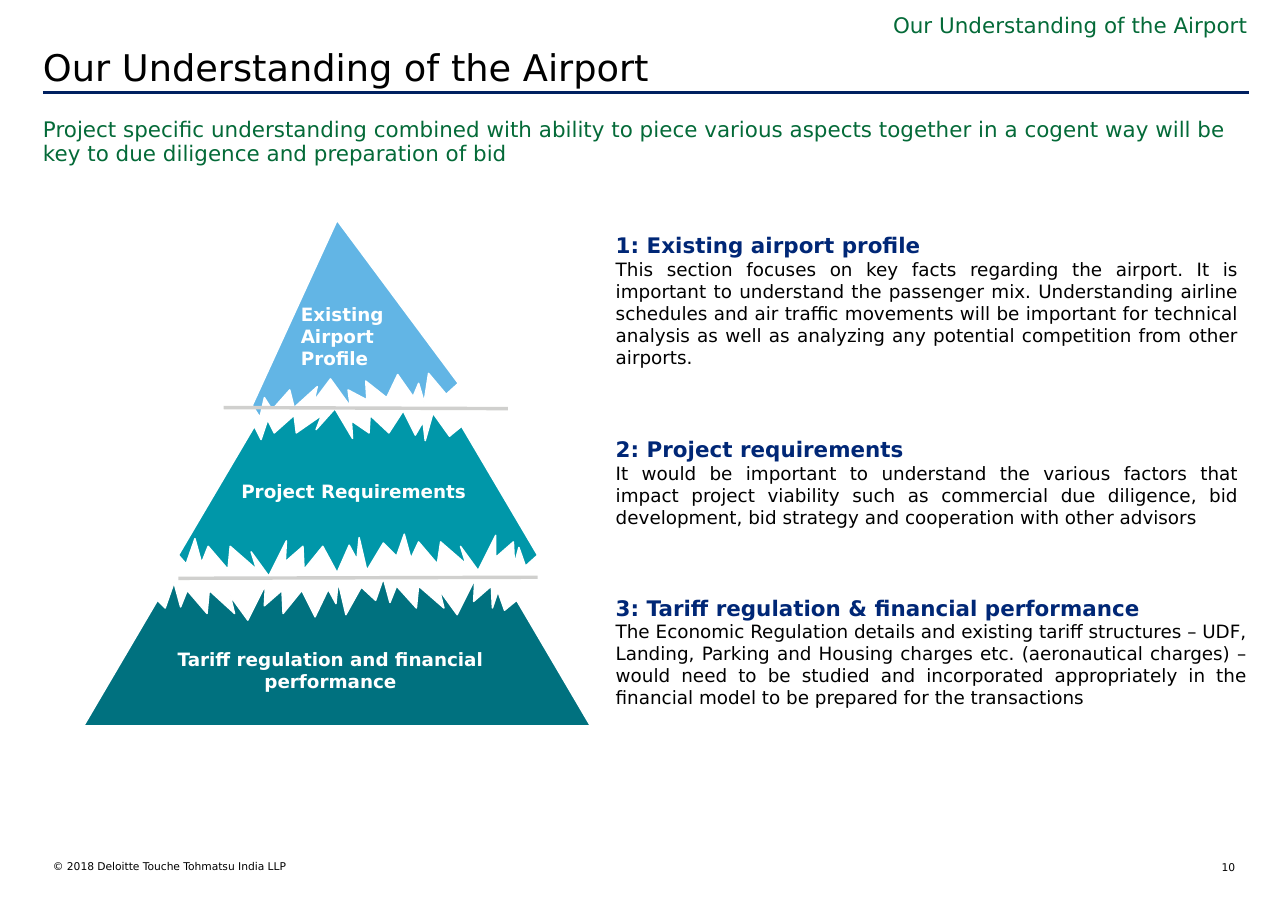
from pptx import Presentation
from pptx.dml.color import RGBColor
from pptx.enum.shapes import MSO_CONNECTOR as Connector
from pptx.enum.text import MSO_ANCHOR as Anchor, MSO_AUTO_SIZE as AutoSize, PP_ALIGN as Align
from pptx.oxml.ns import qn
from pptx.util import Pt
from lxml.etree import SubElement

COLORS = {
    "black": "000000", "white": "FFFFFF", "green": "046A38", "heading": "002776", "rule": "002060",
    "separator": "D0D0CE", "peak": "62B5E5", "middle": "0097A9", "base": "00717F",
}
OUTLINE_UNIT = Pt(0.72)

PEAK = [
    (306, 200), (229, 368), (236, 379), (240, 361), (247, 372), (263, 354), (267, 370), (288, 351),
    (285, 364), (300, 344), (318, 369), (316, 354), (333, 363), (332, 346), (351, 361), (361, 340),
    (375, 360), (380, 348), (385, 365), (389, 339), (405, 358), (416, 348),
]
MIDDLE = [
    (304, 371), (287, 390), (292, 377), (269, 393), (267, 377), (249, 393), (243, 381), (237, 399),
    (231, 387), (162, 504), (169, 512), (177, 489), (183, 511), (189, 496), (207, 517), (209, 496),
    (233, 517), (228, 501), (244, 523), (260, 491), (259, 510), (275, 496), (276, 517), (293, 496),
    (306, 520), (317, 495), (324, 508), (326, 488), (333, 518), (348, 493), (360, 505), (367, 485),
    (373, 507), (380, 492), (397, 512), (400, 492), (423, 512), (418, 496), (434, 518), (450, 486),
    (450, 506), (466, 492), (467, 512), (471, 497), (477, 514), (488, 504), (419, 387), (408, 396),
    (393, 375), (386, 400), (384, 383), (377, 395), (366, 373), (353, 393), (336, 377), (335, 393),
    (319, 382), (320, 398),
]
BASE = [
    (348, 525), (341, 545), (328, 533), (314, 558), (307, 528), (305, 548), (298, 535), (286, 560),
    (274, 536), (257, 557), (256, 536), (240, 550), (241, 531), (225, 563), (209, 541), (213, 557),
    (190, 536), (188, 557), (170, 536), (164, 551), (158, 529), (150, 552), (143, 545), (76, 659),
    (536, 659), (469, 545), (458, 554), (452, 537), (447, 552), (446, 532), (430, 546), (431, 526),
    (415, 558), (399, 536), (403, 552), (380, 532), (378, 552), (360, 532), (354, 547),
]
LAYERS = [
    (BASE, "base", "Tariff regulation and financial performance", (100.8, 423.4, 230.4, 28.8), Align.CENTER, True),
    (PEAK, "peak", "Existing Airport Profile", (196.6, 198, 61.9, 43.9), Align.LEFT, True),
    (MIDDLE, "middle", "Project Requirements", (157.7, 313.9, 152.6, 14.4), Align.LEFT, False),
]
SEPARATORS = [((146.2, 266.4), (331.9, 267.1)), ((116.6, 378), (351.4, 377.3))]
SECTIONS = [
    ("1: Existing airport profile",
     "This section focuses on key facts regarding the airport. It is important to understand the passenger mix. "
     "Understanding airline schedules and air traffic movements will be important for technical analysis as well "
     "as analyzing any potential competition from other airports.",
     (395.3, 148.3, 421.2, 97.2)),
    ("2: Project requirements",
     "It would be important to understand the various factors that impact project viability such as commercial "
     "due diligence, bid development, bid strategy and cooperation with other advisors",
     (395.3, 281.5, 421.2, 67.7)),
    ("3: Tariff regulation & financial performance",
     "The Economic Regulation details and existing tariff structures – UDF, Landing, Parking and Housing charges "
     "etc. (aeronautical charges) – would need to be studied and incorporated appropriately in the financial "
     "model to be prepared for the transactions",
     (395.3, 385.2, 427, 82.1)),
]


class SlideBuilder:
    font_name = "DejaVu Sans"

    def __init__(self, slide):
        self.slide = slide

    def color(self, name):
        return RGBColor.from_string(COLORS[name])

    def fill_text(self, shape, lines, align=Align.LEFT, anchor=Anchor.TOP, inset=(7.2, 3.6), wrap=True, spacing=1.0):
        frame = shape.text_frame
        frame.auto_size = AutoSize.NONE
        frame.word_wrap = wrap
        frame.vertical_anchor = anchor
        frame.margin_left = frame.margin_right = Pt(inset[0])
        frame.margin_top = frame.margin_bottom = Pt(inset[1])
        for index, (text, size, color, bold) in enumerate(lines):
            paragraph = frame.add_paragraph() if index else frame.paragraphs[0]
            paragraph.alignment = align
            paragraph.line_spacing = spacing
            paragraph.space_before = paragraph.space_after = Pt(0)
            run = paragraph.add_run()
            run.text = text
            run.font.name = self.font_name
            run.font.size = Pt(size)
            run.font.bold = bold
            run.font.color.rgb = self.color(color)

    def placeholder(self, index, box, lines, **style):
        shape = self.slide.placeholders[index]
        shape.left, shape.top, shape.width, shape.height = map(Pt, box)
        self.fill_text(shape, lines, **style)
        for paragraph in shape.text_frame.paragraphs:
            properties = paragraph._p.get_or_add_pPr()
            properties.set("marL", "0")
            properties.set("indent", "0")
            SubElement(properties, qn("a:buNone"))

    def text(self, box, lines, **style):
        self.fill_text(self.slide.shapes.add_textbox(*map(Pt, box)), lines, **style)

    def line(self, start, end, color):
        connector = self.slide.shapes.add_connector(Connector.STRAIGHT, *map(Pt, start + end))
        connector.line.color.rgb = self.color(color)
        connector.line.width = Pt(2.25)
        SubElement(connector._element.spPr, qn("a:effectLst"))

    def outline(self, points, color):
        builder = self.slide.shapes.build_freeform(*points[0], scale=OUTLINE_UNIT)
        builder.add_line_segments(points[1:], close=True)
        shape = builder.convert_to_shape()
        shape.shadow.inherit = False
        shape.fill.solid()
        shape.fill.fore_color.rgb = self.color(color)
        shape.line.color.rgb = self.color("white")
        shape.line.width = Pt(1)


def main():
    presentation = Presentation()
    presentation.slide_width, presentation.slide_height = Pt(841.68), Pt(595.44)
    page = SlideBuilder(presentation.slides.add_slide(presentation.slide_layouts[1]))
    topic = "Our Understanding of the Airport"

    page.placeholder(0, (20.9, 25.9, 553, 36), [(topic, 24, "black", False)])
    page.placeholder(1, (28.1, 77, 791.3, 50.4), [(
        "Project specific understanding combined with ability to piece various aspects together in a cogent way "
        "will be key to due diligence and preparation of bid", 14, "green", False)], inset=(0, 0), spacing=0.95)
    page.text((463, 4.3, 359.3, 24.5), [(topic, 14, "green", False)], align=Align.RIGHT)
    page.line((28.1, 60.5), (816.5, 60.5), "rule")

    for heading, body, box in SECTIONS:
        page.text(box, [(heading, 14, "heading", True), (body, 12, "black", False)], align=Align.JUSTIFY)

    for points, color, label, box, align, wrap in LAYERS:
        page.outline(points, color)
        page.text(box, [(label, 12, "white", True)], align=align, anchor=Anchor.MIDDLE, inset=(0, 0), wrap=wrap)
    for start, end in SEPARATORS:
        page.line(start, end, "separator")

    page.text((34.6, 562.3, 369.4, 17.3), [("© 2018 Deloitte Touche Tohmatsu India LLP", 7, "black", False)],
              inset=(0, 0))
    page.text((785.5, 562.3, 21.6, 8.6), [("10", 7, "black", False)], align=Align.RIGHT, inset=(0, 0))
    presentation.save("out.pptx")


if __name__ == "__main__":
    main()
